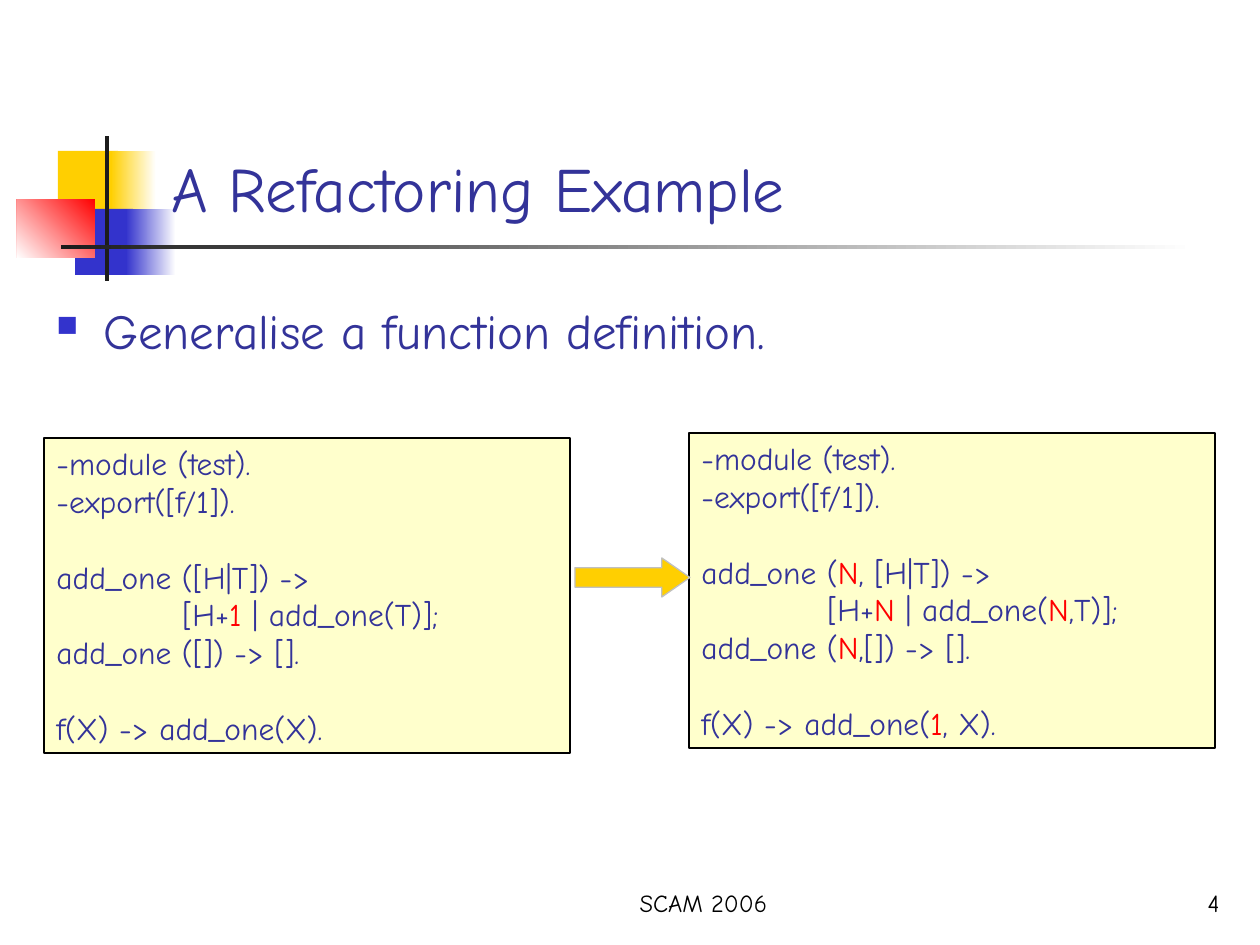
from pptx import Presentation, util as u
from pptx.dml.color import RGBColor
from pptx.enum import shapes, text
from lxml import etree

PX = u.Inches(1) / 126
FONT = "Comic Neue"
WHITE = RGBColor(0xFF, 0xFF, 0xFF)
BLACK = RGBColor(0x00, 0x00, 0x00)
CHARCOAL = RGBColor(0x1C, 0x1C, 0x1C)
SILVER = RGBColor(0xC0, 0xC0, 0xC0)
GOLD = RGBColor(0xFF, 0xCF, 0x01)
BLUE = RGBColor(0x33, 0x33, 0xCC)
NAVY = RGBColor(0x33, 0x33, 0x99)
RED = RGBColor(0xFF, 0x00, 0x00)
CREAM = RGBColor(0xFF, 0xFF, 0xCC)

TAB = "\t"
MARK = "~"
CODE_LINE = u.Pt(21.6)
BEFORE = (
    "-module (test).",
    "-export([f/1]).",
    "",
    "add_one ([H|T]) ->",
    "\t[H+~1~ | add_one(T)];",
    "add_one ([]) -> [].",
    "",
    "f(X) -> add_one(X).",
)
AFTER = (
    "-module (test).",
    "-export([f/1]).",
    "",
    "add_one (~N~, [H|T]) ->",
    "\t[H+~N~ | add_one(~N~,T)];",
    "add_one (~N~,[]) -> [].",
    "",
    "f(X) -> add_one(~1~, X).",
)


def px(length):
    """Turn a whole number of px into EMU."""
    return u.Emu(round(length * PX))


def add_block(slide, box, color, line=None, kind=shapes.MSO_SHAPE.RECTANGLE):
    """Add a solid preset shape with an optional thin outline."""
    shape = slide.shapes.add_shape(kind, *map(px, box))
    shape.shadow.inherit = False
    shape.fill.solid()
    shape.fill.fore_color.rgb = color
    if line is None:
        shape.line.fill.background()
    else:
        shape.line.color.rgb = line
        shape.line.width = u.Pt(0.75)
    return shape


def add_fade(slide, box, start, end, angle=180):
    """Add a rectangle that fades from one colour to another."""
    shape = add_block(slide, box, start)
    shape.fill.gradient()
    shape.fill.gradient_angle = angle
    for stop, color in zip(shape.fill.gradient_stops, (start, end)):
        stop.color.rgb = color


def add_run(paragraph, words, size, color):
    """Add one run of text to a paragraph."""
    run = paragraph.add_run()
    run.text = words
    run.font.name = FONT
    run.font.size = u.Pt(size)
    run.font.color.rgb = color


def add_label(slide, box, words, size, color,
              align=text.PP_ALIGN.LEFT, anchor=text.MSO_ANCHOR.BOTTOM):
    """Add a one-paragraph text box and return its paragraph."""
    frame = slide.shapes.add_textbox(*map(px, box)).text_frame
    frame.word_wrap = True
    frame.vertical_anchor = anchor
    paragraph = frame.paragraphs[0]
    paragraph.alignment = align
    add_run(paragraph, words, size, color)
    return paragraph


def add_bullet(paragraph):
    """Give a paragraph a hanging square bullet."""
    paragraph.space_before = u.Pt(7)
    properties = paragraph._p.get_or_add_pPr()
    properties.set("marL", str(px(47)))
    properties.set("indent", str(-px(47)))
    namespace = properties.nsmap["a"]

    def add(parent, tag, **attributes):
        return etree.SubElement(parent, f"{{{namespace}}}{tag}", **attributes)

    add(add(properties, "buClr"), "srgbClr", val=str(BLUE))
    add(properties, "buSzPct", val="60000")
    add(properties, "buChar", char="■")


def add_code(slide, box, lines):
    """Add a code panel whose marked parts are red."""
    frame = add_block(slide, box, CREAM, BLACK).text_frame
    frame.word_wrap = True
    frame.vertical_anchor = text.MSO_ANCHOR.TOP
    for index, line in enumerate(lines):
        if not line:
            continue
        paragraph = frame.add_paragraph() if index else frame.paragraphs[0]
        paragraph.alignment = text.PP_ALIGN.LEFT
        if index and not lines[index - 1]:
            paragraph.space_before = CODE_LINE
        if line.startswith(TAB):
            paragraph._p.get_or_add_pPr().set("marL", str(px(126)))
        for part, words in enumerate(line.lstrip(TAB).split(MARK)):
            add_run(paragraph, words, 18, RED if part % 2 else NAVY)


def add_ornament(slide):
    """Add the coloured squares and the crossing rules."""
    add_block(slide, (58, 151, 60, 66), GOLD)
    add_fade(slide, (111, 151, 45, 66), WHITE, GOLD)
    add_block(slide, (75, 209, 58, 66), BLUE)
    add_fade(slide, (126, 209, 50, 66), WHITE, BLUE)
    add_fade(slide, (17, 199, 78, 59), RED, WHITE, 225)
    add_block(slide, (105, 136, 4, 145), CHARCOAL)
    add_fade(slide, (61, 245, 1134, 4), WHITE, CHARCOAL)


def main():
    """Build and save the slide."""
    presentation = Presentation()
    presentation.slide_width, presentation.slide_height = px(1260), px(945)
    slide = presentation.slides.add_slide(presentation.slide_layouts[6])

    add_ornament(slide)
    add_label(slide, (159, 29, 1074, 202), "A Refactoring Example", 36, NAVY)
    add_code(slide, (44, 438, 526, 315), BEFORE)
    add_code(slide, (689, 433, 526, 315), AFTER)
    arrow = add_block(slide, (575, 558, 115, 39), GOLD, SILVER,
                      shapes.MSO_SHAPE.RIGHT_ARROW)
    arrow.adjustments[0] = 0.5
    arrow.adjustments[1] = 0.72
    add_bullet(add_label(slide, (44, 294, 1181, 100),
                         "Generalise a function definition.", 28, NAVY,
                         anchor=text.MSO_ANCHOR.TOP))
    add_label(slide, (504, 861, 399, 63), "SCAM 2006", 14, BLACK,
              text.PP_ALIGN.CENTER)
    add_label(slide, (970, 861, 262, 63), "4", 14, BLACK,
              text.PP_ALIGN.RIGHT)

    presentation.save("out.pptx")


if __name__ == "__main__":
    main()
